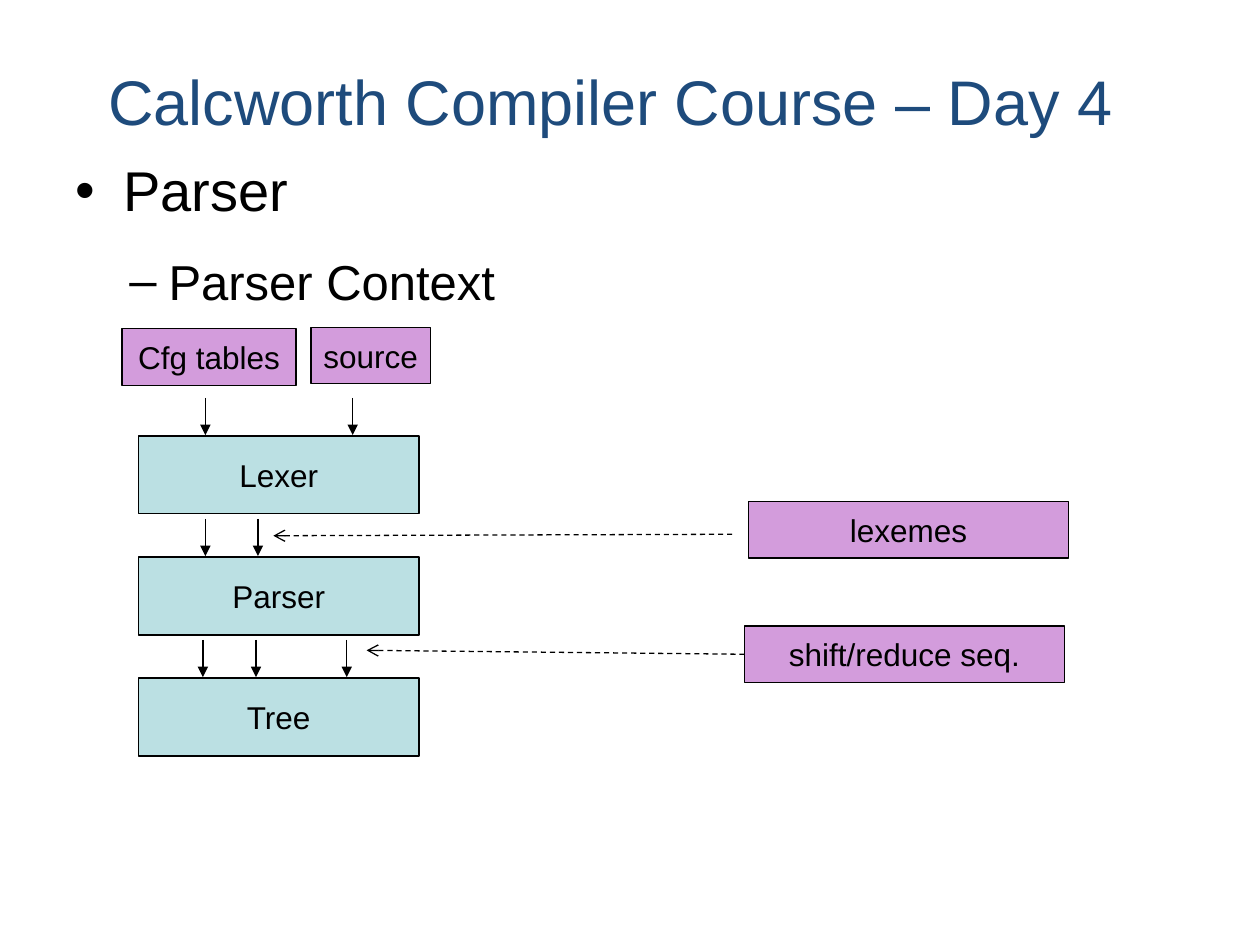
"""Build the compiler course slide showing the parser context."""
from lxml import etree
from pptx import Presentation
from pptx.dml.color import RGBColor
from pptx.enum.dml import MSO_LINE_DASH_STYLE as DASH
from pptx.enum.shapes import MSO_CONNECTOR as CONN, MSO_SHAPE as SHAPE
from pptx.enum.text import MSO_ANCHOR as ANCHOR, PP_ALIGN as ALIGN
from pptx.oxml.ns import qn
from pptx.util import Cm, Pt

TITLE = "Calcworth Compiler Course – Day 4"
BULLETS = [
    ("Parser", dict(size=32, bullet="•", left=0.97, hang=0.97)),
    ("Parser Context", dict(size=28, bullet="–", left=1.88, hang=0.79, before=16, level=1)),
]
BLUE, PURPLE, BLACK = "BBE0E3", "D39CDC", "000000"
STAGES = [("Lexer", (4.14, 7.11)), ("Parser", (4.14, 5.2)), ("Tree", (4.09, 5.16, 6.99))]
STAGE_X, STAGE_Y, STAGE_W, STAGE_H, STAGE_STEP = 2.79, 8.79, 5.66, 1.57, 2.44
ARROW_RISE, ARROW_LEN = 0.77, 0.75
DATA = [
    ("Cfg tables", 2.46, 6.63, 3.51),
    ("source", 6.27, 6.6, 2.41),
    ("lexemes", 15.09, 10.11, 6.45),
    ("shift/reduce seq.", 15.01, 12.62, 6.45),
]
DATA_H = 1.14
NOTES = [
    ("lexemes", (14.76, 10.77), (5.51, 10.8), False),
    ("shift/reduce seq.", (15.01, 13.19), (7.39, 13.11), True),
]


def rgb(color):
    return RGBColor.from_string(color)


def write(p, text, size=18, color=BLACK, align=ALIGN.LEFT, bullet=None,
          left=0, hang=0, before=0, level=0):
    p.alignment, p.level, p.space_before = align, level, Pt(before)
    r = p.add_run()
    r.text = text
    r.font.name, r.font.size, r.font.color.rgb = "Arial", Pt(size), rgb(color)
    if bullet:
        pPr = p._p.get_or_add_pPr()
        pPr.set("marL", str(Cm(left)))
        pPr.set("indent", str(-Cm(hang)))
        etree.SubElement(pPr, qn("a:buFont")).set("typeface", "Arial")
        etree.SubElement(pPr, qn("a:buChar")).set("char", bullet)


def add_text(s, x, y, w, h):
    tf = s.shapes.add_textbox(Cm(x), Cm(y), Cm(w), Cm(h)).text_frame
    tf.word_wrap = True
    return tf


def add_box(s, text, x, y, w, h, fill):
    sp = s.shapes.add_shape(SHAPE.RECTANGLE, Cm(x), Cm(y), Cm(w), Cm(h))
    sp.shadow.inherit = False
    sp.fill.solid()
    sp.fill.fore_color.rgb = rgb(fill)
    sp.line.color.rgb, sp.line.width = rgb(BLACK), Pt(0.75)
    tf = sp.text_frame
    tf.word_wrap, tf.vertical_anchor = False, ANCHOR.MIDDLE
    write(tf.paragraphs[0], text, align=ALIGN.CENTER)
    return sp


def add_arrow(s, start, end, head="triangle", dash=None):
    cx = s.shapes.add_connector(CONN.STRAIGHT, *map(Cm, start + end))
    cx.line.color.rgb, cx.line.width = rgb(BLACK), Pt(0.75)
    if dash:
        cx.line.dash_style = dash
    etree.SubElement(cx.line._get_or_add_ln(), qn("a:tailEnd")).set("type", head)
    etree.SubElement(cx._element.spPr, qn("a:effectLst"))
    return cx


def main():
    prs = Presentation()
    prs.slide_width, prs.slide_height = Cm(25.4), Cm(19.05)
    s = prs.slides.add_slide(prs.slide_layouts[6])

    write(add_text(s, 1.93, 1.13, 21.54, 1.78).paragraphs[0], TITLE, size=36, color="1E4B7C")
    tf = add_text(s, 1.27, 3.02, 23.24, 14.88)
    for i, (text, fmt) in enumerate(BULLETS):
        write(tf.add_paragraph() if i else tf.paragraphs[0], text, **fmt)

    boxes = {text: add_box(s, text, x, y, w, DATA_H, PURPLE) for text, x, y, w in DATA}
    for i, (text, arrows) in enumerate(STAGES):
        y = STAGE_Y + i * STAGE_STEP
        add_box(s, text, STAGE_X, y, STAGE_W, STAGE_H, BLUE)
        for x in arrows:
            add_arrow(s, (x, y - ARROW_RISE), (x, y - ARROW_RISE + ARROW_LEN))
    for text, start, end, joined in NOTES:
        cx = add_arrow(s, start, end, head="arrow", dash=DASH.DASH)
        if joined:
            cx.begin_connect(boxes[text], 1)

    prs.save("out.pptx")


if __name__ == "__main__":
    main()
